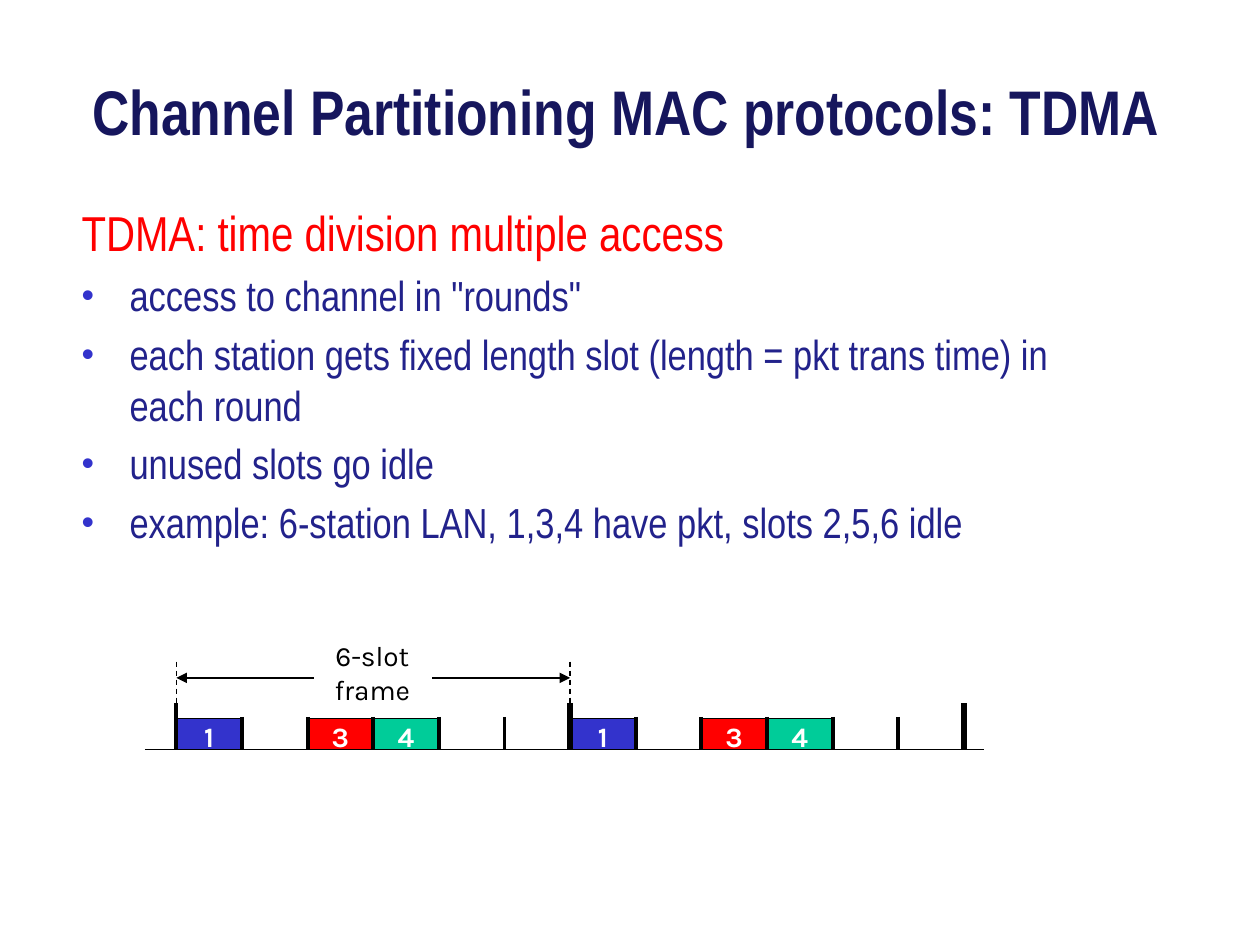
import pptx
import pptx.util
import pptx.dml.color
import pptx.enum.dml
import pptx.enum.shapes
import pptx.enum.text
import pptx.oxml.ns
import lxml.etree

Inches = pptx.util.Inches
Pt = pptx.util.Pt
ALIGN = pptx.enum.text.PP_ALIGN
ANCHOR = pptx.enum.text.MSO_ANCHOR

COLORS = {
    "title": "16165D", "body": "22228B", "blue": "3333CC", "red": "FF0000",
    "green": "00CC99", "black": "000000", "white": "FFFFFF",
}


def color(name):
    return pptx.dml.color.RGBColor.from_string(COLORS[name])


def child(node, tag, **attrs):
    return lxml.etree.SubElement(node, pptx.oxml.ns.qn(tag), attrs)


def write(para, text, size, ink, face="Arial Narrow", bold=False,
          align=ALIGN.LEFT, before=0, indent=0, bullet=False):
    """Fill one paragraph; indent is a hanging indent in inches."""
    props = para._p.get_or_add_pPr()
    if indent:
        props.set("marL", str(Inches(indent)))
        props.set("indent", str(-Inches(indent)))
    para.alignment = align
    para.space_before = Pt(before)
    if bullet:
        child(child(props, "a:buClr"), "a:srgbClr", val=COLORS["blue"])
        child(props, "a:buSzPct", val="85000")
        child(props, "a:buFont", typeface="Arial")
        child(props, "a:buChar", char="•")
    run = para.add_run()
    run.text = text
    run.font.size = Pt(size)
    run.font.name = face
    run.font.bold = bold
    run.font.color.rgb = color(ink)


class Board:
    """Holds the current slide and its line style."""

    thin = 0.75

    def __init__(self, slide):
        self.shapes = slide.shapes

    def text(self, left, top, width, height, items, wrap=True,
             anchor=ANCHOR.TOP):
        """Add a box; items are (text, format) pairs, one a paragraph."""
        box = self.shapes.add_textbox(Inches(left), Inches(top),
                                      Inches(width), Inches(height))
        frame = box.text_frame
        frame.word_wrap = wrap
        frame.vertical_anchor = anchor
        for i, (words, style) in enumerate(items):
            para = frame.add_paragraph() if i else frame.paragraphs[0]
            write(para, words, **style)

    def rect(self, left, top, width, height, fill):
        shape = self.shapes.add_shape(
            pptx.enum.shapes.MSO_SHAPE.RECTANGLE, Inches(left), Inches(top),
            Inches(width), Inches(height))
        shape.shadow.inherit = False
        shape.fill.solid()
        shape.fill.fore_color.rgb = color(fill)
        shape.line.color.rgb = color("black")
        shape.line.width = Pt(self.thin)

    def line(self, x1, y1, x2, y2, width=thin, dash=False, arrow=False):
        link = self.shapes.add_connector(
            pptx.enum.shapes.MSO_CONNECTOR.STRAIGHT,
            Inches(x1), Inches(y1), Inches(x2), Inches(y2))
        link.line.color.rgb = color("black")
        link.line.width = Pt(width)
        if dash:
            link.line.dash_style = pptx.enum.dml.MSO_LINE.DASH
        if arrow:
            child(link.line._get_or_add_ln(), "a:tailEnd", type="triangle")
        child(link._element.spPr, "a:effectLst")


def main():
    deck = pptx.Presentation()
    deck.slide_width, deck.slide_height = Inches(10), Inches(7.5)
    board = Board(deck.slides.add_slide(deck.slide_layouts[6]))

    board.text(0.25, 0.25, 9.44, 1.25, [
        ("Channel Partitioning MAC protocols: TDMA",
         dict(size=36, ink="title", bold=True, align=ALIGN.CENTER)),
    ], anchor=ANCHOR.MIDDLE)

    points = [
        'access to channel in "rounds"',
        "each station gets fixed length slot (length = pkt trans time) in "
        "each round",
        "unused slots go idle",
        "example: 6-station LAN, 1,3,4 have pkt, slots 2,5,6 idle",
    ]
    head = dict(size=28, ink="red", indent=0.38)
    point = dict(size=24, ink="body", indent=0.38, before=4.8, bullet=True)
    board.text(0.55, 1.56, 8.5, 3.2,
               [("TDMA: time division multiple access", head)]
               + [(words, point) for words in points])

    # Two frames of six slots along a time axis
    start, end, base = 1.4, 7.65, 5.95
    count = 6
    slot = (end - start) / (2 * count)
    packets = {1: "blue", 3: "red", 4: "green"}
    label = dict(size=16, face="Karla", align=ALIGN.CENTER)
    digit = dict(label, ink="white", bold=True)

    board.line(1.15, base, 7.81, base)
    for frame in range(2):
        for number, fill in packets.items():
            left = start + (frame * count + number - 1) * slot
            board.rect(left, base - 0.25, slot, 0.25, fill)
            board.text(left + 0.09, 5.66, 0.34, 0.37,
                       [(str(number), digit)], wrap=False)
    for i in range(2 * count + 1):
        x = start + i * slot
        edge = i % count == 0
        board.line(x, base - (0.37 if edge else 0.26), x, base,
                   width=3 if edge and i else 2.25)

    # Span of the first frame
    second = start + count * slot
    span = dict(label, ink="black")
    board.text(2.54, 5.02, 0.83, 0.64,
               [("6-slot", span), ("frame", span)], wrap=False)
    for inner, outer in ((2.49, start), (3.43, second)):
        board.line(inner, 5.38, outer, 5.38, arrow=True)
        board.line(outer, 5.25, outer, 5.58, dash=True)

    deck.save("out.pptx")


if __name__ == "__main__":
    main()
